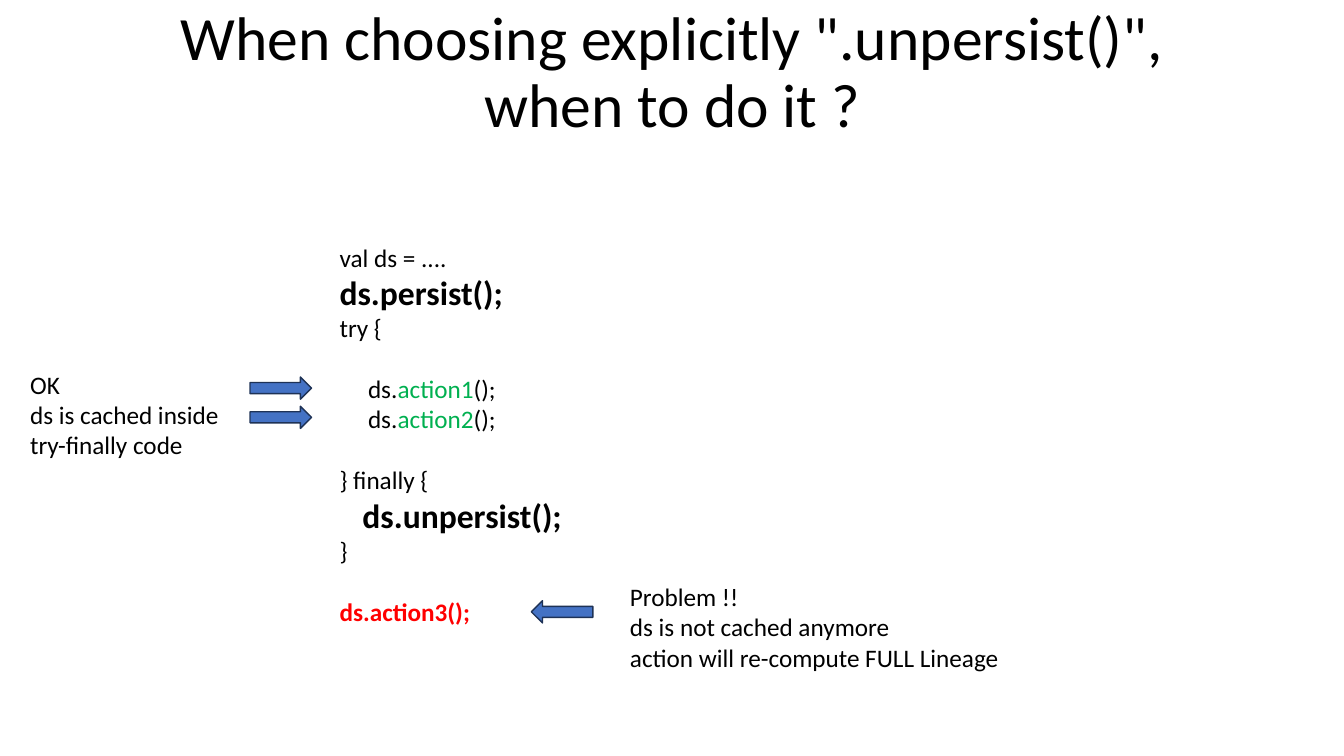
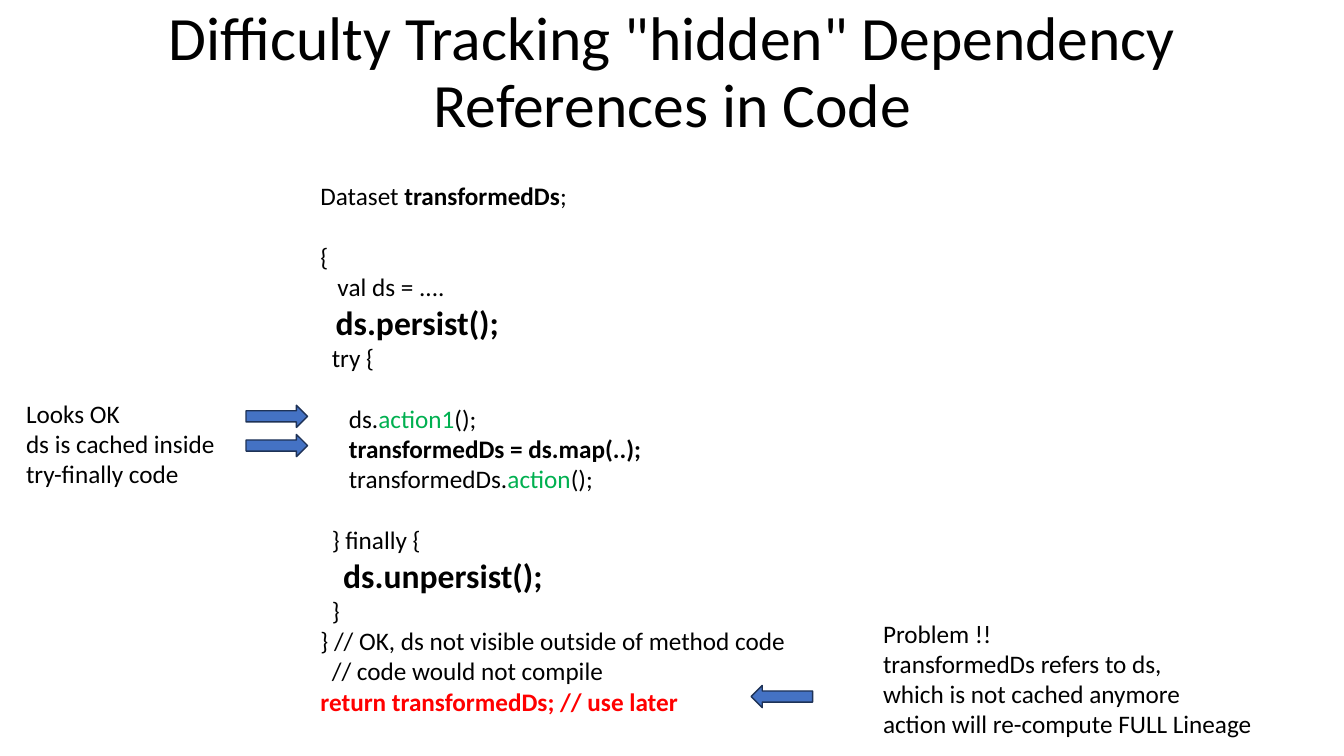
from pptx import Presentation
from pptx.dml.color import RGBColor
from pptx.enum.shapes import MSO_SHAPE
from pptx.enum.text import MSO_ANCHOR, MSO_AUTO_SIZE, PP_ALIGN
from pptx.util import Inches, Pt

ARROW = MSO_SHAPE.RIGHT_ARROW
CENTER, MIDDLE = PP_ALIGN.CENTER, MSO_ANCHOR.MIDDLE
FIT, NO_FIT = MSO_AUTO_SIZE.SHAPE_TO_FIT_TEXT, MSO_AUTO_SIZE.NONE

FONT = "Calibri"
COLORS = {"text": "000000", "good": "00B050", "bad": "FF0000",
          "arrow": "4472C4", "outline": "1E3256"}
# style: (size, bold, colour)
STYLES = {"plain": (18, False, "text"), "bold": (18, True, "text"),
          "key": (24, True, "text"), "good": (18, False, "good"),
          "bad": (18, True, "bad")}
TITLE_BOX = (0.92, 0, 11.5, 1.47)
ARROW_SIZE = (0.61, 0.22)
BLANK_LINE = Pt(22)

# A line is plain text or a list of (text, style) runs; "" is a blank line.
SLIDES = [
    {
        "title": 'When choosing explicitly ".unpersist()",\vwhen to do it ?',
        "texts": [
            ((3.27, 2.35, 2.43, 3.94), [
                "val ds = ....",
                [("ds.persist();", "key")],
                "try {",
                "",
                [("     ds.", "plain"), ("action1", "good"), ("();", "plain")],
                [("     ds.", "plain"), ("action2", "good"), ("();", "plain")],
                "",
                "} finally {",
                [("   ds.unpersist();", "key")],
                "}",
                "",
                [("ds.action3();", "bad")],
            ]),
            ((0.2, 3.61, 2.09, 1.01),
             ["OK", "ds is cached inside", "try-finally code"]),
            ((6.15, 5.72, 3.96, 1.01),
             ["Problem !!", "ds is not cached anymore",
              "action will re-compute FULL Lineage"]),
        ],
        # left, top, rotation
        "arrows": [(2.48, 3.74, 0), (2.48, 4.03, 0), (5.27, 5.96, 180)],
    },
    {
        "title": 'Difficulty Tracking "hidden" Dependency References in Code',
        "texts": [
            ((3.08, 1.74, 4.87, 5.76), [
                [("Dataset ", "plain"), ("transformedDs", "bold"), (";", "plain")],
                "",
                "{",
                "   val ds = ....",
                [("  ds.persist();", "key")],
                "  try {",
                "",
                [("     ds.", "plain"), ("action1", "good"), ("();", "plain")],
                [("     ", "plain"), ("transformedDs = ds.map(..);", "bold")],
                [("     transformedDs.", "plain"), ("action", "good"), ("();", "plain")],
                "",
                "  } finally {",
                [("   ds.unpersist();", "key")],
                "  }",
                "} // OK, ds not visible outside of method code",
                "  // code would not compile",
                [("return transformedDs; // use later", "bad")],
            ]),
            ((0.16, 3.9, 2.09, 1.01),
             ["Looks OK", "ds is cached inside", "try-finally code"]),
            ((8.66, 6.08, 3.96, 1.31),
             ["Problem !!", "transformedDs refers to ds,",
              "which is not cached anymore",
              "action will re-compute FULL Lineage"]),
        ],
        "arrows": [(2.44, 4.02, 0), (2.44, 4.31, 0), (7.45, 6.8, 180)],
    },
]


def color(name):
    return RGBColor.from_string(COLORS[name])


def set_title(slide, text):
    sp = slide.shapes.title
    sp.left, sp.top, sp.width, sp.height = map(Inches, TITLE_BOX)
    tf = sp.text_frame
    tf.text = text
    tf.word_wrap, tf.auto_size, tf.vertical_anchor = True, NO_FIT, MIDDLE
    p = tf.paragraphs[0]
    p.alignment, p.line_spacing = CENTER, 0.9
    p.font.name, p.font.size = FONT, Pt(44)
    p.font.color.rgb = color("text")


def add_text(slide, box, lines):
    tf = slide.shapes.add_textbox(*map(Inches, box)).text_frame
    tf.word_wrap, tf.auto_size = False, FIT
    p, gap = tf.paragraphs[0], False
    for i, line in enumerate(lines):
        if not line:
            gap = True
            continue
        if i:
            p = tf.add_paragraph()
        if gap:
            p.space_before, gap = BLANK_LINE, False
        p.font.name = FONT
        for text, style in [(line, "plain")] if isinstance(line, str) else line:
            r = p.add_run()
            r.text = text
            size, r.font.bold, name = STYLES[style]
            r.font.size = Pt(size)
            r.font.color.rgb = color(name)


def add_arrow(slide, left, top, rotation):
    sp = slide.shapes.add_shape(ARROW, *map(Inches, (left, top, *ARROW_SIZE)))
    sp.rotation = rotation
    sp.shadow.inherit = False
    sp.fill.solid()
    sp.fill.fore_color.rgb = color("arrow")
    sp.line.color.rgb = color("outline")
    sp.line.width = Pt(1)


def main():
    prs = Presentation()
    prs.slide_width, prs.slide_height = Inches(13.33), Inches(7.5)
    title_only = prs.slide_layouts[5]
    for content in SLIDES:
        slide = prs.slides.add_slide(title_only)
        set_title(slide, content["title"])
        for box, lines in content["texts"]:
            add_text(slide, box, lines)
        for arrow in content["arrows"]:
            add_arrow(slide, *arrow)
    prs.save("out.pptx")


if __name__ == "__main__":
    main()
